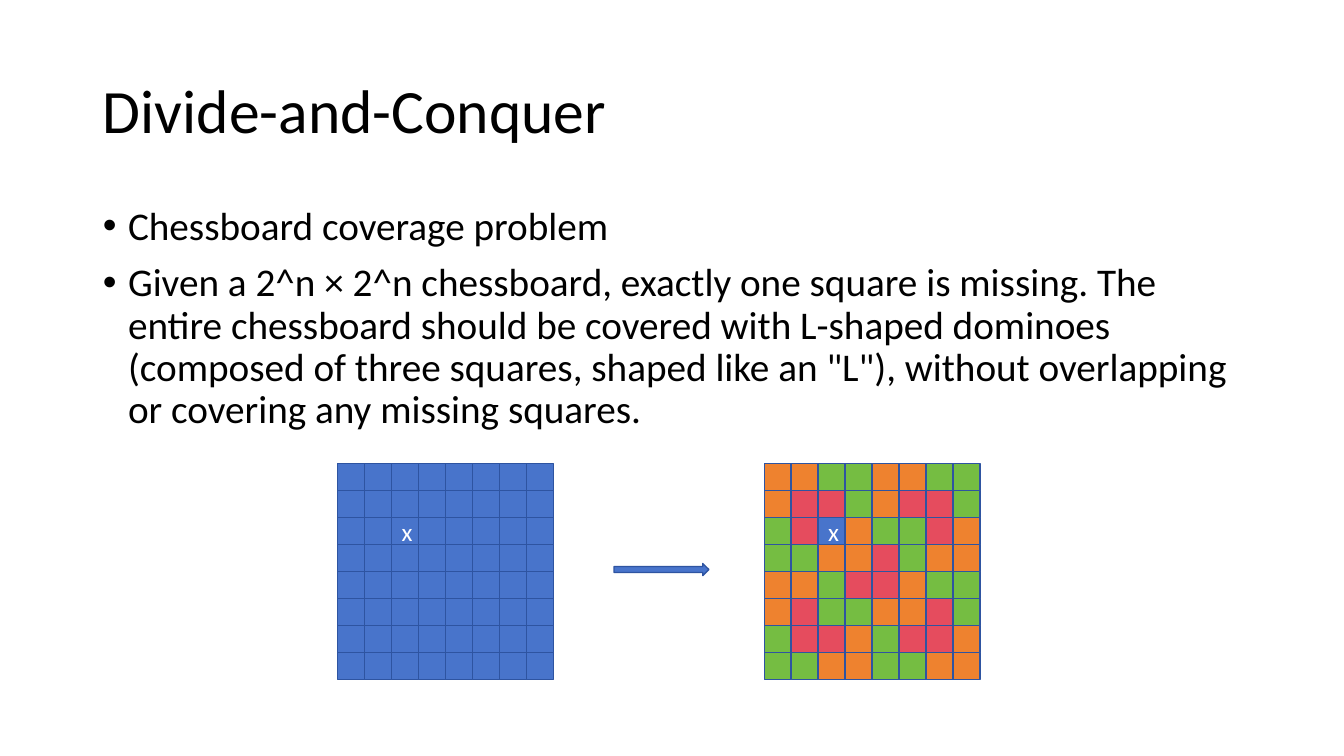
from lxml import etree
from pptx import Presentation
from pptx import util as u
from pptx.dml.color import RGBColor
from pptx.enum import shapes, text
from pptx.oxml import ns

BLUE, OUTLINE = "4874CB", "2E54A1"
TILE_COLOURS = {"O": "EE822F", "G": "75BD42", "R": "E54C5E", "B": BLUE}
BOARD_SIDE = 2.14
MISSING_SQUARE = (2, 2)  # row, column

EMPTY_BOARD = ["BBBBBBBB"] * 8
COVERED_BOARD = [
    "OOGGOOGG",
    "ORRGORRG",
    "GRBOGGRO",
    "GGOORGOO",
    "OOGRROGG",
    "ORGGOORG",
    "GRROGRRO",
    "GGOOGGOO",
]
PROBLEM = [
    "Chessboard coverage problem",
    "Given a 2^n × 2^n chessboard, exactly one square is missing. The entire "
    "chessboard should be covered with L-shaped dominoes (composed of three "
    'squares, shaped like an "L"), without overlapping or covering any missing squares.',
]


def colour(hex_code):
    return RGBColor.from_string(hex_code)


class ChessboardSlide:
    font = "Calibri"

    def __init__(self, deck):
        self.slide = deck.slides.add_slide(deck.slide_layouts[1])

    def format_text(self, paragraph, size, hex_code, align):
        paragraph.alignment = align
        for run in paragraph.runs:
            run.font.name = self.font
            run.font.size = u.Pt(size)
            run.font.color.rgb = colour(hex_code)

    def fill_placeholder(self, holder, box, lines, size, anchor):
        holder.left, holder.top, holder.width, holder.height = map(u.Inches, box)
        frame = holder.text_frame
        frame.text = "\n".join(lines)
        frame.word_wrap = True
        frame.auto_size = text.MSO_AUTO_SIZE.NONE
        frame.vertical_anchor = anchor
        for paragraph in frame.paragraphs:
            paragraph.line_spacing = 0.9
            self.format_text(paragraph, size, "000000", text.PP_ALIGN.LEFT)
        return frame.paragraphs

    def title(self, heading, box):
        self.fill_placeholder(self.slide.shapes.title, box, [heading], 44,
                              text.MSO_ANCHOR.MIDDLE)

    def bullets(self, lines, box):
        body = self.slide.placeholders[1]
        for item in self.fill_placeholder(body, box, lines, 28, text.MSO_ANCHOR.TOP):
            item.space_before = u.Pt(10)
            props = item._p.get_or_add_pPr()
            props.set("marL", str(u.Inches(0.25)))
            props.set("indent", str(u.Inches(-0.25)))
            etree.SubElement(props, ns.qn("a:buFont")).set("typeface", "Arial")
            etree.SubElement(props, ns.qn("a:buChar")).set("char", "•")

    def shape(self, parent, kind, box, fill):
        shape = parent.add_shape(kind, *map(u.Inches, box))
        shape.shadow.inherit = False
        shape.fill.solid()
        shape.fill.fore_color.rgb = colour(fill)
        shape.line.color.rgb = colour(OUTLINE)
        shape.line.width = u.Pt(1)
        return shape

    def board(self, left, top, rows):
        squares = self.slide.shapes.add_group_shape().shapes
        side = BOARD_SIDE / len(rows)
        for row, tiles in enumerate(rows):
            for column, tile in enumerate(tiles):
                box = (left + column * side, top + row * side, side, side)
                square = self.shape(squares, shapes.MSO_SHAPE.RECTANGLE, box,
                                    TILE_COLOURS[tile])
                if (row, column) == MISSING_SQUARE:
                    square.text_frame.text = "x"
                    square.text_frame.vertical_anchor = text.MSO_ANCHOR.MIDDLE
                    self.format_text(square.text_frame.paragraphs[0], 18, "FFFFFF",
                                     text.PP_ALIGN.CENTER)

    def arrow(self, box):
        self.shape(self.slide.shapes, shapes.MSO_SHAPE.RIGHT_ARROW, box, BLUE)


def main():
    deck = Presentation()
    deck.slide_width, deck.slide_height = u.Inches(13.33), u.Inches(7.5)
    page = ChessboardSlide(deck)

    # Heading and problem statement
    page.title("Divide-and-Conquer", (0.92, 0.4, 11.5, 1.45))
    page.bullets(PROBLEM, (0.92, 2, 11.5, 2.49))

    # Board before and after covering
    page.board(3.35, 4.6, EMPTY_BOARD)
    page.board(7.58, 4.6, COVERED_BOARD)
    page.arrow((6.09, 5.59, 0.94, 0.12))

    deck.save("out.pptx")


if __name__ == "__main__":
    main()
